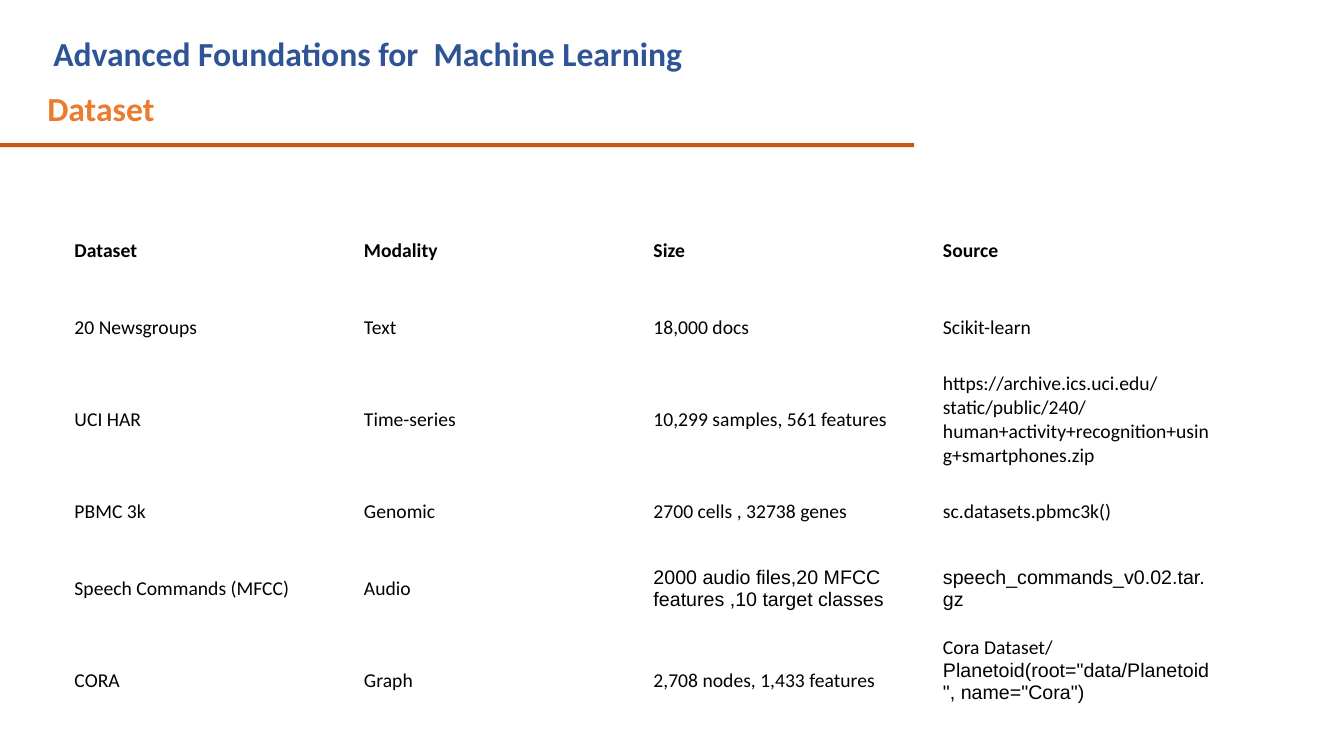
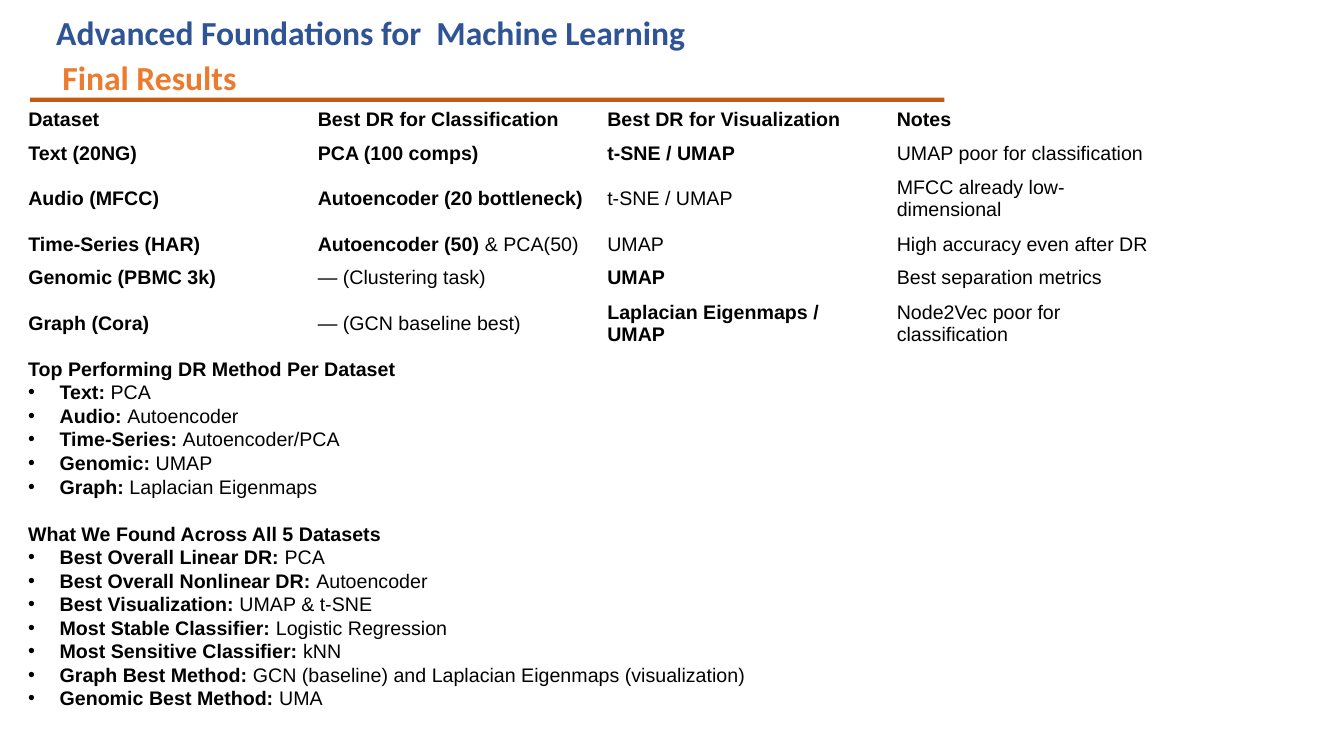
"""Build two slides: the datasets used and the final results."""
from lxml import etree
from pptx import Presentation
from pptx import util as u
from pptx.dml.color import RGBColor
from pptx.enum import shapes, text
from pptx.oxml.ns import qn


class Theme:
    blue = RGBColor.from_string("2F5496")
    orange = RGBColor.from_string("EB7B2F")
    rust = RGBColor.from_string("C55A11")
    black = RGBColor.from_string("000000")
    sans = "Calibri"
    plain = "Arial"
    big = 24
    small = 14


def put(par, words, fonts=(Theme.plain, Theme.plain), bold=(True, False),
        size=Theme.small, color=Theme.black, line=None, before=None,
        left=0, hang=0, bullet=None):
    """Write text whose format changes at the bar sign."""
    for part, face, heavy in zip(words.split("|"), fonts, bold):
        if part:
            run = par.add_run()
            run.text = part
            run.font.name, run.font.bold = face, heavy
            run.font.size, run.font.color.rgb = u.Pt(size), color
    par.line_spacing = line
    par.space_before = before
    if left:
        props = par._p.get_or_add_pPr()
        props.set("marL", str(u.Pt(left)))
        props.set("indent", str(u.Pt(-hang)))
        if bullet:
            etree.SubElement(props, qn("a:buFont"), typeface=Theme.plain)
            etree.SubElement(props, qn("a:buChar"), char=bullet)


def box(slide, left, top, width, height, pads=(7.2, 3.6, 7.2, 3.6)):
    """Add a wrapped text box and return its frame."""
    frame = slide.shapes.add_textbox(u.Pt(left), u.Pt(top), u.Pt(width), u.Pt(height)).text_frame
    frame.word_wrap = True
    frame.margin_left, frame.margin_top, frame.margin_right, frame.margin_bottom = map(u.Pt, pads)
    return frame


data = [
    ("Dataset", "Modality", "Size", "Source"),
    ("20 Newsgroups", "Text", "18,000 docs", "Scikit-learn"),
    ("UCI HAR", "Time-series", "10,299 samples, 561 features",
     "https://archive.ics.uci.edu/static/public/240/human+activity+recognition+using+smartphones.zip"),
    ("PBMC 3k", "Genomic", "2700 cells , 32738 genes", "sc.datasets.pbmc3k()"),
    ("Speech Commands (MFCC)", "Audio", "|2000 audio files,20 MFCC features ,10 target classes",
     "|speech_commands_v0.02.tar.gz"),
    ("CORA", "Graph", "2,708 nodes, 1,433 features",
     'Cora Dataset/| Planetoid(root="data/Planetoid", name="Cora")'),
]
results = [
    ("Dataset", "Best DR for Classification", "Best DR for Visualization", "Notes"),
    ("Text (20NG)", "PCA (100 comps)", "t-SNE / UMAP", "|UMAP poor for classification"),
    ("Audio (MFCC)", "Autoencoder (20 bottleneck)", "|t-SNE / UMAP", "|MFCC already low-dimensional"),
    ("Time-Series (HAR)", "Autoencoder (50)| & PCA(50)", "|UMAP", "|High accuracy even after DR"),
    ("Genomic (PBMC 3k)", "|— (Clustering task)", "UMAP", "|Best separation metrics"),
    ("Graph (Cora)", "|— (GCN baseline best)", "Laplacian Eigenmaps / UMAP",
     "|Node2Vec poor for classification"),
]
found = {
    "Top Performing DR Method Per Dataset": [
        "Text:| PCA", "Audio: |Autoencoder", "Time-Series: |Autoencoder/PCA",
        "Genomic:| UMAP", "Graph:| Laplacian Eigenmaps"],
    "What We Found Across All 5 Datasets": [
        "Best Overall Linear DR:| PCA", "Best Overall Nonlinear DR: |Autoencoder",
        "Best Visualization:| UMAP & t-SNE", "Most Stable Classifier:| Logistic Regression",
        "Most Sensitive Classifier: |kNN",
        "Graph Best Method:| GCN (baseline) and Laplacian Eigenmaps (visualization)",
        "Genomic Best Method:| UMA"],
}
pages = [
    dict(title="Dataset", bar=(0, 102.2), head=(31, 20.2), name=(33.1, 51.8),
         grid=(46, 151.2), rows=data, low=55.4, high=75.6, tall=(2, 5),
         fonts=(Theme.sans, Theme.plain), bold=(False, False)),
    dict(title="Final Results", bar=(21.6, 69.8), head=(33.1, 5), name=(43.9, 30.2),
         grid=(13, 73.4), rows=results, low=24, high=41, tall=(2, 5),
         fonts=(Theme.plain, Theme.plain), bold=(True, False)),
]

deck = Presentation()
deck.slide_width, deck.slide_height = u.Pt(960), u.Pt(540)

for page in pages:
    slide = deck.slides.add_slide(deck.slide_layouts[6])
    bar = slide.shapes.add_shape(shapes.MSO_SHAPE.RECTANGLE, *map(u.Pt, page["bar"]),
                                 u.Pt(653), u.Pt(3))
    bar.shadow.inherit = False
    bar.fill.solid()
    bar.fill.fore_color.rgb = Theme.rust
    bar.line.fill.background()

    head = box(slide, *page["head"], 590.4, 36)
    put(head.paragraphs[0], "Advanced Foundations for  Machine Learning",
        fonts=[Theme.sans], size=Theme.big, color=Theme.blue)
    name = box(slide, *page["name"], 427.7, 40.3, pads=(0, 0.7, 0, 0))
    put(name.paragraphs[0], page["title"], fonts=[Theme.sans], size=Theme.big,
        color=Theme.orange, line=1.35, left=4.3, hang=3.6)

    rows = page["rows"]
    tall = [page["high"] if i in page["tall"] else page["low"] for i in range(len(rows))]
    grid = slide.shapes.add_table(len(rows), len(rows[0]), *map(u.Pt, page["grid"]),
                                  u.Pt(827.2), u.Pt(sum(tall))).table
    grid.first_row = grid.horz_banding = False
    for col in grid.columns:
        col.width = u.Pt(206.8)
    for i, row in enumerate(rows):
        grid.rows[i].height = u.Pt(tall[i])
        for j, words in enumerate(row):
            cell = grid.cell(i, j)
            cell.fill.background()
            cell.vertical_anchor = text.MSO_ANCHOR.MIDDLE
            put(cell.text_frame.paragraphs[0], words, fonts=page["fonts"],
                bold=page["bold"] if i else (True, True))
    if rows is data:
        cell.margin_bottom = u.Pt(19.6)

body = box(slide, 13, 251.3, 925.9, 295.9)
step = u.Pt(16.8)
par = body.paragraphs[0]
for i, (topic, points) in enumerate(found.items()):
    if i:
        par = body.add_paragraph()
    put(par, topic, line=step, before=step if i else None)
    for point in points:
        put(body.add_paragraph(), point, line=step, left=22.5, hang=22.5, bullet="•")

deck.save("out.pptx")
